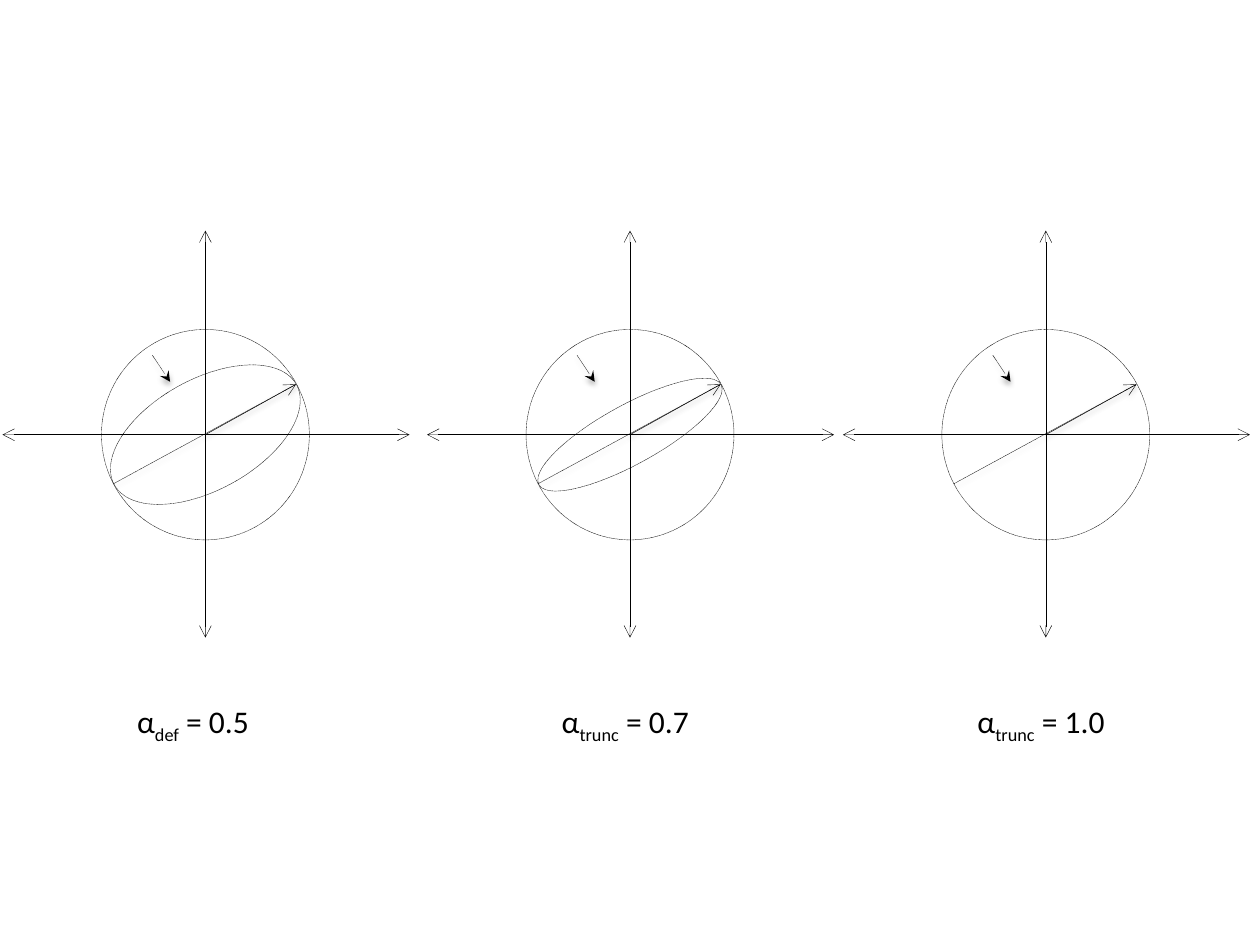
from dataclasses import dataclass

from lxml import etree
from pptx import Presentation
from pptx.dml.color import RGBColor
from pptx.enum.dml import MSO_LINE
from pptx.enum.shapes import MSO_CONNECTOR, MSO_SHAPE
from pptx.enum.text import MSO_AUTO_SIZE
from pptx.oxml import parse_xml
from pptx.oxml.ns import nsdecls, qn
from pptx.util import Inches, Pt

DOTTED = MSO_LINE.ROUND_DOT
STRAIGHT = MSO_CONNECTOR.STRAIGHT
OVAL = MSO_SHAPE.OVAL
GROW = MSO_AUTO_SIZE.SHAPE_TO_FIT_TEXT
BLACK = "000000"
WHITE = "FFFFFF"
FONT = "Calibri"
CENTER_Y = 3.45
DIAMETER = 1.65
TILT = 331.2
SHADOW = (
    f'<a:effectLst {nsdecls("a")}><a:outerShdw blurRad="40000" dist="20000" '
    'dir="5400000" rotWithShape="0"><a:srgbClr val="000000">'
    '<a:alpha val="38000"/></a:srgbClr></a:outerShdw></a:effectLst>'
)
NO_SHADOW = f'<a:effectLst {nsdecls("a")}/>'


@dataclass
class Panel:
    """One set of axes with its circle, ellipse and label."""

    center_x: float
    ellipse_height: float
    subscript: str
    value: str
    label_width: float


@dataclass
class Stroke:
    """A line given by offsets from the panel centre."""

    start: tuple[float, float]
    end: tuple[float, float]
    head: str = ""
    tail: str = ""
    dotted: bool = True
    shadow: bool = True


PANELS = [
    Panel(1.63, 0.88, "def", "0.5", 1.13),
    Panel(5.0, 0.47, "trunc", "0.7", 1.27),
    Panel(8.3, 0, "trunc", "1.0", 1.27),
]
STROKES = [
    Stroke((-1.61, 0), (1.62, 0), "arrow", "arrow", shadow=False),
    Stroke((0, -1.62), (0, 1.61), "arrow", "arrow", shadow=False),
    Stroke((-0.73, 0.39), (0.72, -0.4)),
    Stroke((0, 0), (0.72, -0.4), tail="arrow", dotted=False),
    Stroke((-0.42, -0.63), (-0.28, -0.42), tail="stealth"),
]


def color(value: str) -> RGBColor:
    """Turn a hex string into a colour."""
    return RGBColor.from_string(value)


def style_line(line, dotted: bool) -> None:
    """Give a line the thin black stroke."""
    line.color.rgb = color(BLACK)
    line.width = Pt(0.25)
    if dotted:
        line.dash_style = DOTTED


def add_ellipse(page, center_x: float, height: float, rotation: float) -> None:
    """Draw a dotted ellipse around the panel centre."""
    ellipse = page.shapes.add_shape(
        OVAL,
        Inches(center_x - DIAMETER / 2),
        Inches(CENTER_Y - height / 2),
        Inches(DIAMETER),
        Inches(height),
    )
    ellipse.rotation = rotation
    ellipse.shadow.inherit = False
    ellipse.fill.solid()
    ellipse.fill.fore_color.rgb = color(WHITE)
    style_line(ellipse.line, True)


def add_stroke(page, center_x: float, stroke: Stroke) -> None:
    """Draw a straight line with its arrowheads and shadow."""
    connector = page.shapes.add_connector(
        STRAIGHT,
        Inches(center_x + stroke.start[0]),
        Inches(CENTER_Y + stroke.start[1]),
        Inches(center_x + stroke.end[0]),
        Inches(CENTER_Y + stroke.end[1]),
    )
    style_line(connector.line, stroke.dotted)
    properties = connector._element.spPr
    outline = properties.find(qn("a:ln"))
    for tag, kind in (("a:headEnd", stroke.head), ("a:tailEnd", stroke.tail)):
        if kind:
            etree.SubElement(outline, qn(tag), type=kind)
    properties.append(parse_xml(SHADOW if stroke.shadow else NO_SHADOW))


def add_label(page, panel: Panel) -> None:
    """Write the alpha value below a panel."""
    box = page.shapes.add_textbox(
        Inches(panel.center_x - 0.64),
        Inches(5.52),
        Inches(panel.label_width),
        Inches(0.4),
    )
    box.text_frame.word_wrap = False
    box.text_frame.auto_size = GROW
    para = box.text_frame.paragraphs[0]
    for text, baseline in (
        ("α", 0),
        (panel.subscript, -25000),
        (f" = {panel.value}", 0),
    ):
        span = para.add_run()
        span.text = text
        span.font.name = FONT
        span.font.size = Pt(18)
        span.font.color.rgb = color(BLACK)
        if baseline:
            span._r.get_or_add_rPr().set("baseline", str(baseline))


def add_panel(page, panel: Panel) -> None:
    """Draw one panel from back to front."""
    add_ellipse(page, panel.center_x, 1.67, 0)
    if panel.ellipse_height:
        add_ellipse(page, panel.center_x, panel.ellipse_height, TILT)
    for stroke in STROKES:
        add_stroke(page, panel.center_x, stroke)
    add_label(page, panel)


def main() -> None:
    """Build and save the deck."""
    deck = Presentation()
    deck.slide_width = Inches(10)
    deck.slide_height = Inches(7.5)
    page = deck.slides.add_slide(deck.slide_layouts[6])
    for panel in PANELS:
        add_panel(page, panel)
    deck.save("out.pptx")


main()
